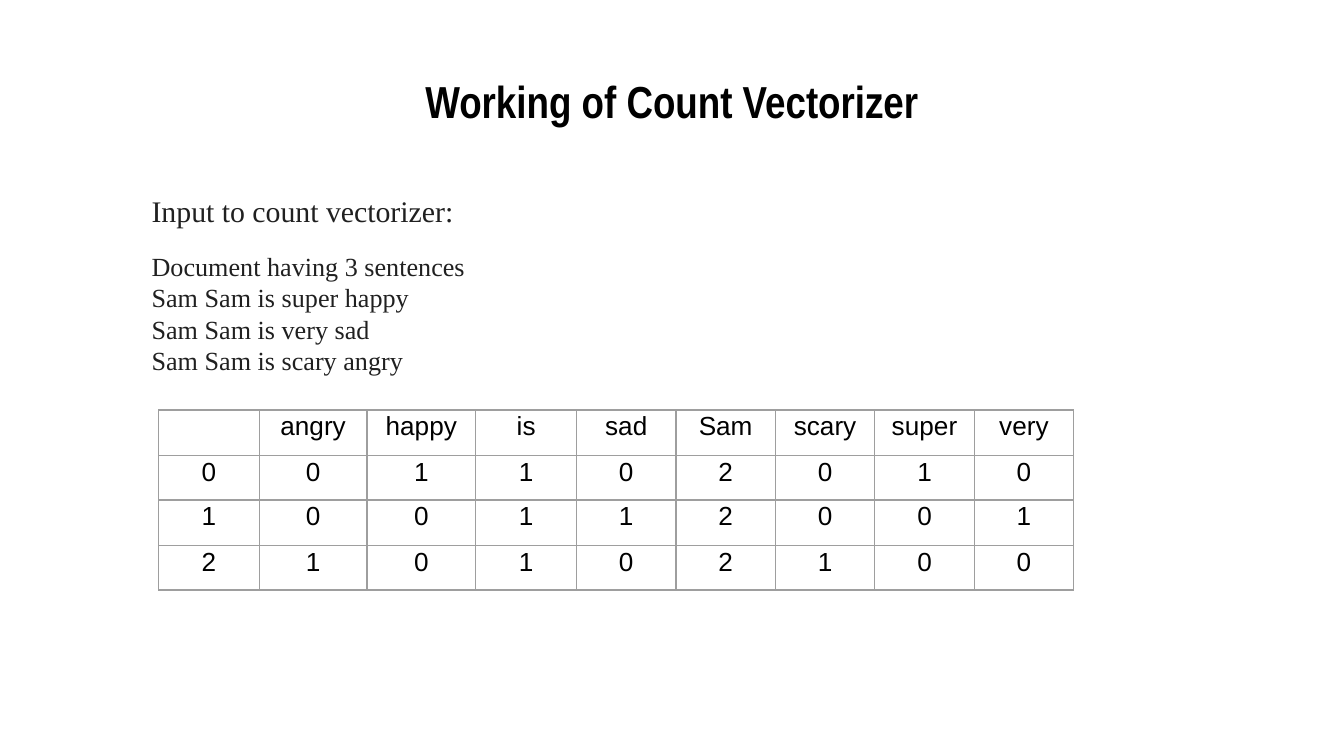
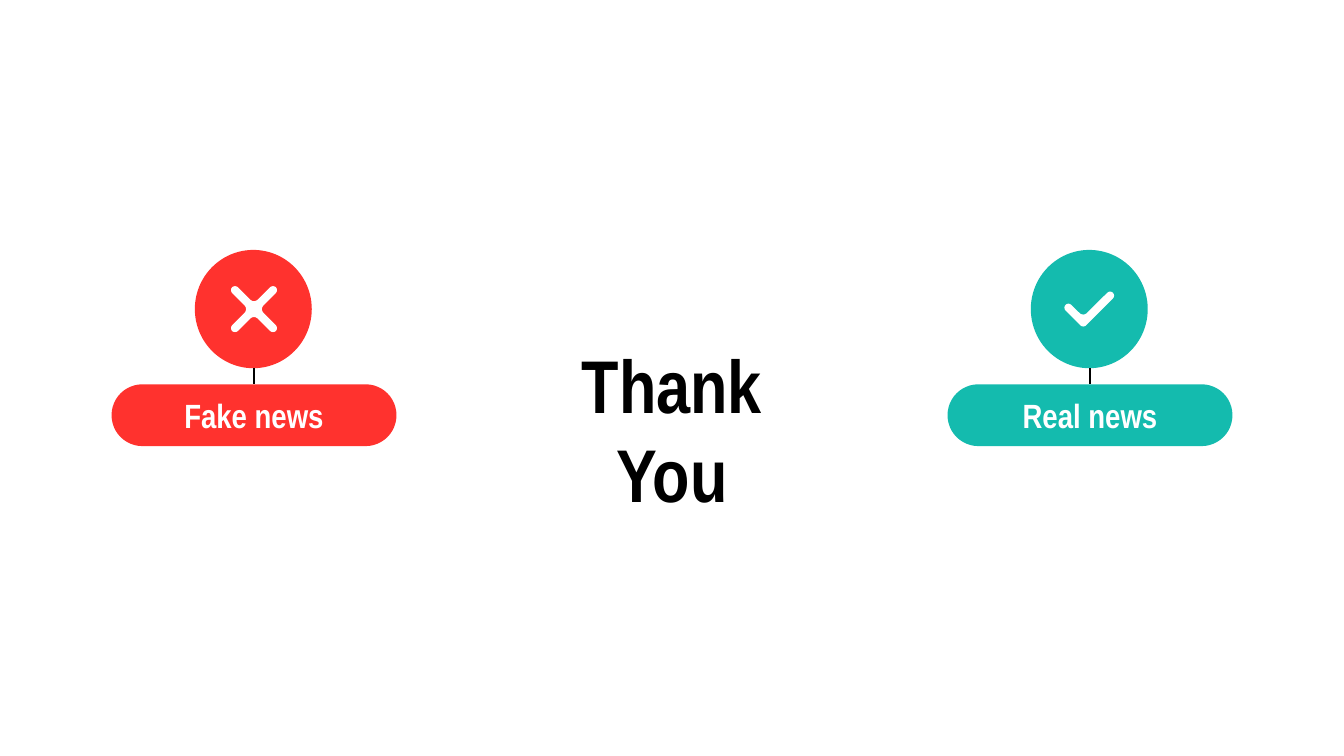
from math import cos, radians, sin, sqrt

from lxml import etree
from pptx import Presentation
from pptx.dml.color import RGBColor
from pptx.enum.shapes import MSO_CONNECTOR, MSO_SHAPE
from pptx.enum.text import MSO_ANCHOR, MSO_AUTO_SIZE, PP_ALIGN
from pptx.oxml.ns import qn
from pptx.util import Inches, Pt

STRAIGHT = MSO_CONNECTOR.STRAIGHT
OVAL, PILL = MSO_SHAPE.OVAL, MSO_SHAPE.ROUNDED_RECTANGLE
TOP, MIDDLE = MSO_ANCHOR.TOP, MSO_ANCHOR.MIDDLE
CENTER = PP_ALIGN.CENTER
NO_FIT = MSO_AUTO_SIZE.NONE

BLACK = RGBColor(0x00, 0x00, 0x00)
WHITE = RGBColor(0xFF, 0xFF, 0xFF)
INK = RGBColor(0x20, 0x20, 0x20)
GRID = RGBColor(0x9E, 0x9E, 0x9E)
RED = RGBColor(0xFF, 0x32, 0x2E)
TEAL = RGBColor(0x14, 0xBB, 0xAE)
HEADING_FONT, TABLE_FONT, BODY_FONT = "Arial Narrow", "Arial", "Times New Roman"

COLUMN_WIDTHS = [0.75, 0.8, 0.81, 0.75] + [0.74] * 5
ROW_HEIGHTS = [0.34, 0.33, 0.34, 0.33]
WORD_COUNTS = [
    ["", "angry", "happy", "is", "sad", "Sam", "scary", "super", "very"],
    ["0", "0", "1", "1", "0", "2", "0", "1", "0"],
    ["1", "0", "0", "1", "1", "2", "0", "0", "1"],
    ["2", "1", "0", "1", "0", "2", "1", "0", "0"],
]
SENTENCES = ["Document having 3 sentences", "Sam Sam is super happy",
             "Sam Sam is very sad", "Sam Sam is scary angry"]
UNITS_PER_INCH = 1000
STROKE_RADIUS, FILLET_RADIUS = 0.03, 0.04
FILLET_OFFSET = sqrt(2) * (STROKE_RADIUS + FILLET_RADIUS)


def add_span(para, text, font, size, color, bold=False):
    """Add one formatted run to a paragraph."""
    span = para.add_run()
    span.text = text
    span.font.name = font
    span.font.size = Pt(size)
    span.font.bold = bold
    span.font.color.rgb = color


def format_frame(frame, anchor, inset=0.1):
    """Set wrapping, anchor and margins of a text frame."""
    frame.word_wrap = True
    frame.auto_size = NO_FIT
    frame.vertical_anchor = anchor
    frame.margin_left = frame.margin_right = Inches(0.1)
    frame.margin_top = frame.margin_bottom = Inches(inset)


def add_page(deck, title, size, left, top, width):
    """Add a slide with its title placed and formatted."""
    page = deck.slides.add_slide(deck.slide_layouts[5])
    box = page.shapes.title
    box.left, box.top = Inches(left), Inches(top)
    box.width, box.height = Inches(width), Inches(0.63)
    format_frame(box.text_frame, TOP)
    para = box.text_frame.paragraphs[0]
    para.alignment = CENTER
    add_span(para, title, HEADING_FONT, size, BLACK, True)
    return page


def add_input_text(page):
    """Add the vectorizer input with its sentences."""
    box = page.shapes.add_textbox(Inches(1.03), Inches(1.37), Inches(2.56), Inches(1.78))
    frame = box.text_frame
    format_frame(frame, TOP, 0.06)
    add_span(frame.paragraphs[0], "Input to count vectorizer:", BODY_FONT, 16, INK)
    para = frame.add_paragraph()
    para.space_before = Pt(12)
    for index, sentence in enumerate(SENTENCES):
        if index:
            para.add_line_break()
        add_span(para, sentence, BODY_FONT, 14, INK)


def set_borders(cell):
    """Draw a thin grey line on every side of a cell."""
    properties = cell._tc.get_or_add_tcPr()
    for side in ("a:lnL", "a:lnR", "a:lnT", "a:lnB"):
        line = etree.SubElement(properties, qn(side), w=str(Pt(0.75)))
        fill = etree.SubElement(line, qn("a:solidFill"))
        etree.SubElement(fill, qn("a:srgbClr"), val=str(GRID))


def fill_cell(cell, text):
    """Format one table cell and write its text."""
    cell.margin_left = cell.margin_right = Inches(0.07)
    cell.margin_top = cell.margin_bottom = 0
    set_borders(cell)
    cell.fill.background()
    para = cell.text_frame.paragraphs[0]
    para.alignment = CENTER
    para.line_spacing = 1.07
    para.space_after = Pt(8)
    para.font.size = Pt(14)
    if text:
        add_span(para, text, TABLE_FONT, 14, BLACK)


def add_count_table(page):
    """Add the table of word counts per sentence."""
    table = page.shapes.add_table(
        len(ROW_HEIGHTS), len(COLUMN_WIDTHS), Inches(1.18), Inches(3.05),
        Inches(sum(COLUMN_WIDTHS)), Inches(sum(ROW_HEIGHTS))).table
    table.first_row = table.horz_banding = False
    for column, width in zip(table.columns, COLUMN_WIDTHS):
        column.width = Inches(width)
    for row, height, words in zip(table.rows, ROW_HEIGHTS, WORD_COUNTS):
        row.height = Inches(height)
        for cell, word in zip(row.cells, words):
            fill_cell(cell, word)


def paint(shape, color):
    """Give a shape a flat fill without line or shadow."""
    shape.shadow.inherit = False
    shape.fill.solid()
    shape.fill.fore_color.rgb = color
    shape.line.fill.background()


def arc(x, y, radius, start, end):
    """Return points along an arc, with angles in degrees."""
    steps = 8
    angles = [radians(start + (end - start) * step / steps) for step in range(steps + 1)]
    return [(x + radius * cos(angle), y + radius * sin(angle)) for angle in angles]


def cross_outline(x, y):
    """Return the outline of a rounded cross centred on a point."""
    points = []
    for turn in (45, 135, 225, 315):
        tip, notch = radians(turn), radians(turn + 45)
        points += arc(x + 0.2 * cos(tip), y + 0.2 * sin(tip),
                      STROKE_RADIUS, turn - 90, turn + 90)
        points += arc(x + FILLET_OFFSET * cos(notch), y + FILLET_OFFSET * sin(notch),
                      FILLET_RADIUS, turn + 270, turn + 180)
    return points


def check_outline(x, y):
    """Return the outline of a rounded check mark centred on a point."""
    elbow_x, elbow_y = x - 0.05, y + 0.1
    return (arc(elbow_x - 0.11, elbow_y - 0.11, STROKE_RADIUS, 135, 315)
            + arc(elbow_x, elbow_y - FILLET_OFFSET, FILLET_RADIUS, 135, 45)
            + arc(elbow_x + 0.2, elbow_y - 0.2, STROKE_RADIUS, 225, 405)
            + arc(elbow_x, elbow_y, STROKE_RADIUS, 45, 135))


def add_icon(shapes, outline):
    """Draw a white icon from outline points in inches."""
    points = [(x * UNITS_PER_INCH, y * UNITS_PER_INCH) for x, y in outline]
    builder = shapes.build_freeform(*points[0], scale=Inches(1) / UNITS_PER_INCH)
    builder.add_line_segments(points[1:], close=True)
    paint(builder.convert_to_shape(), WHITE)


def add_badge(page, center, label, color, outline):
    """Add a grouped icon disc joined to its label pill."""
    shapes = page.shapes.add_group_shape().shapes
    disc = shapes.add_shape(OVAL, Inches(center - 0.44), Inches(1.86),
                            Inches(0.87), Inches(0.88))
    paint(disc, color)
    pill = shapes.add_shape(PILL, Inches(center - 1.06), Inches(2.86),
                            Inches(2.12), Inches(0.46))
    pill.adjustments[0] = 0.5
    paint(pill, color)
    format_frame(pill.text_frame, MIDDLE)
    para = pill.text_frame.paragraphs[0]
    para.alignment = CENTER
    add_span(para, label, HEADING_FONT, 18, WHITE, True)
    stem = shapes.add_connector(STRAIGHT, Inches(center), Inches(2.74),
                                Inches(center), Inches(2.86))
    stem.end_connect(pill, 0)
    stem.line.color.rgb = BLACK
    stem.line.width = Pt(0.75)
    etree.SubElement(stem._element.spPr, qn("a:effectLst"))
    add_icon(shapes, outline(center, 2.3))


def main():
    """Build both slides and save the deck."""
    deck = Presentation()
    deck.slide_width = Inches(10)
    deck.slide_height = deck.slide_width * 9 // 16
    page = add_page(deck, "Working of Count Vectorizer", 24, 0.5, 0.45, 9)
    add_count_table(page)
    add_input_text(page)
    page = add_page(deck, "Thank You", 40, 3.89, 2.42, 2.22)
    add_badge(page, 1.89, "Fake news", RED, cross_outline)
    add_badge(page, 8.11, "Real news", TEAL, check_outline)
    deck.save("out.pptx")


if __name__ == "__main__":
    main()
